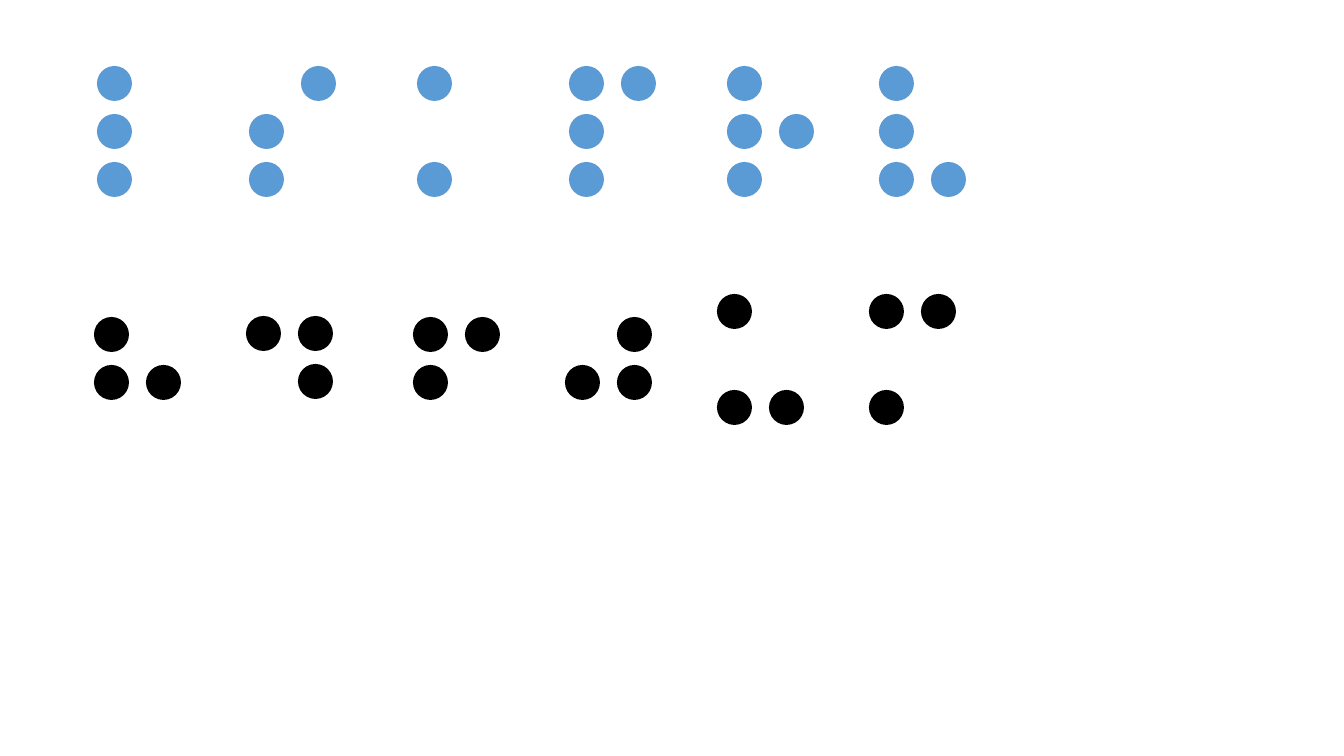
import pptx
import pptx.dml.color
import pptx.enum.shapes
import pptx.util

EMU_PER_PIXEL = 914400 / 100.8
COLOURS = {"blue": "5B9BD5", "black": "000000"}
DOT_SIZE = 35
COLUMN_STEP = 52
ROW_STEP = 48

# Each cell: left, top, rows of dots ("o" is a dot, "." is a gap)
BLUE_CELLS = [
    (97, 66, ("o.", "o.", "o.")),
    (249, 66, (".o", "o.", "o.")),
    (417, 66, ("o.", "..", "o.")),
    (569, 66, ("oo", "o.", "o.")),
    (727, 66, ("o.", "oo", "o.")),
    (879, 66, ("o.", "o.", "oo")),
]
BLACK_CELLS = [
    (94, 317, ("o.", "oo")),
    (246, 316, ("oo", ".o")),
    (413, 317, ("oo", "o.")),
    (565, 317, (".o", "oo")),
    (717, 294, ("o.", "..", "oo")),
    (869, 294, ("oo", "..", "o.")),
]


def pixels(count):
    return pptx.util.Emu(round(count * EMU_PER_PIXEL))


def add_dot(group, left, top, colour):
    dot = group.shapes.add_shape(
        pptx.enum.shapes.MSO_SHAPE.OVAL,
        pixels(left), pixels(top), pixels(DOT_SIZE), pixels(DOT_SIZE))
    dot.shadow.inherit = False
    dot.fill.solid()
    dot.fill.fore_color.rgb = pptx.dml.color.RGBColor.from_string(COLOURS[colour])
    dot.line.fill.background()


def add_cell(page, left, top, pattern, colour):
    group = page.shapes.add_group_shape()
    for row, marks in enumerate(pattern):
        for column, mark in enumerate(marks):
            if mark == "o":
                add_dot(group, left + column * COLUMN_STEP,
                        top + row * ROW_STEP, colour)


def main():
    deck = pptx.Presentation()
    deck.slide_width = pixels(1344)
    deck.slide_height = pixels(756)
    page = deck.slides.add_slide(deck.slide_layouts[6])

    # Upper row in blue, lower row in black
    for colour, cells in (("blue", BLUE_CELLS), ("black", BLACK_CELLS)):
        for left, top, pattern in cells:
            add_cell(page, left, top, pattern, colour)

    deck.save("out.pptx")


main()
